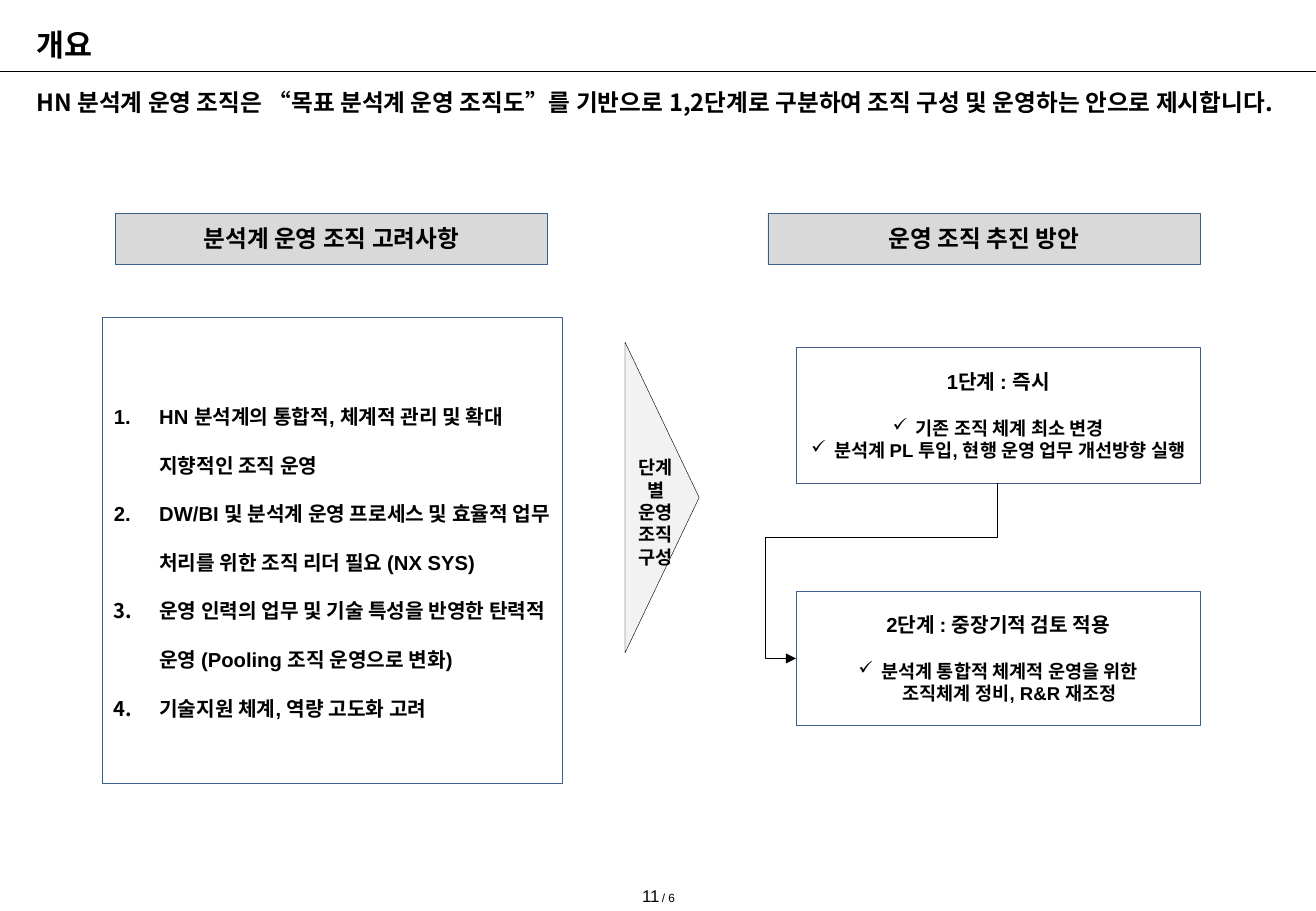
from lxml.etree import SubElement
from pptx import Presentation
from pptx.dml.color import RGBColor
from pptx.enum.shapes import MSO_CONNECTOR, MSO_SHAPE
from pptx.enum.text import MSO_ANCHOR, MSO_AUTO_SIZE, PP_ALIGN
from pptx.oxml.ns import qn
from pptx.util import Cm, Pt

BLACK = RGBColor(0x00, 0x00, 0x00)
BLUE = RGBColor(0x3A, 0x5F, 0x8C)
HEADER_GRAY = RGBColor(0xD9, 0xD9, 0xD9)
ARROW_GRAY = RGBColor(0xF2, 0xF2, 0xF2)
LATIN = "Arial"
KOREAN = "Noto Sans CJK KR"


class SlideBuilder:
    def __init__(self, slide):
        self.slide = slide

    def format_runs(self, paragraph, size, font=LATIN, bold=True):
        for run in paragraph.runs:
            run.font.size = Pt(size)
            run.font.bold = bold
            run.font.name = font
            run.font.color.rgb = BLACK
            SubElement(run.font._element, qn("a:ea"), typeface=KOREAN)

    def fill_text(self, frame, lines, size, align=PP_ALIGN.CENTER, font=LATIN):
        frame.text = "\n".join(lines)
        for paragraph in frame.paragraphs:
            paragraph.alignment = align
            self.format_runs(paragraph, size, font)

    def bullet(self, paragraph, indent, tag, **attributes):
        properties = paragraph._p.get_or_add_pPr()
        properties.set("marL", str(Cm(indent)))
        properties.set("indent", str(-Cm(indent)))
        SubElement(properties, qn(tag), **attributes)

    def placeholder(self, index, box, text, size, anchor, wrap):
        holder = self.slide.placeholders[index]
        holder.left, holder.top, holder.width, holder.height = map(Cm, box)
        frame = holder.text_frame
        frame.margin_left = frame.margin_right = frame.margin_top = frame.margin_bottom = 0
        frame.auto_size = MSO_AUTO_SIZE.NONE
        frame.vertical_anchor = anchor
        frame.word_wrap = wrap
        self.fill_text(frame, [text], size, PP_ALIGN.LEFT, KOREAN)
        paragraph = frame.paragraphs[0]
        paragraph.space_before = Pt(0)
        self.bullet(paragraph, 0, "a:buNone")

    def shape(self, box, fill=None, line=BLUE, kind=MSO_SHAPE.RECTANGLE):
        shape = self.slide.shapes.add_shape(kind, *map(Cm, box))
        shape.shadow.inherit = False
        if fill is None:
            shape.fill.background()
        else:
            shape.fill.solid()
            shape.fill.fore_color.rgb = fill
        shape.line.color.rgb = line
        shape.line.width = Pt(0.25)
        shape.text_frame.word_wrap = True
        shape.text_frame.vertical_anchor = MSO_ANCHOR.MIDDLE
        return shape

    def header(self, left, text):
        header = self.shape((left, 4.45, 9.04, 1.07), HEADER_GRAY)
        self.fill_text(header.text_frame, [text], 14)

    def numbered_list(self, box, items):
        frame = self.shape(box).text_frame
        self.fill_text(frame, items, 12, PP_ALIGN.LEFT)
        for paragraph in frame.paragraphs:
            self.bullet(paragraph, 0.95, "a:buAutoNum", type="arabicPeriod")
            paragraph.line_spacing = 2.0

    def stage(self, top, height, heading, items):
        frame = self.shape((16.64, top, 8.46, height)).text_frame
        self.fill_text(frame, [heading], 12)
        for position, item in enumerate(items):
            paragraph = frame.add_paragraph()
            paragraph.text = item
            paragraph.alignment = PP_ALIGN.CENTER
            self.bullet(paragraph, 0.48, "a:buChar", char="✓")
            paragraph.space_before = Pt(0 if position else 14)
            self.format_runs(paragraph, 11)

    def text_box(self, box, lines, size):
        frame = self.slide.shapes.add_textbox(*map(Cm, box)).text_frame
        frame.word_wrap = True
        self.fill_text(frame, lines, size)
        return frame

    def page_number(self, parts):
        frame = self.text_box((12.9, 18.39, 1.73, 0.79), [], 10)
        paragraph = frame.paragraphs[0]
        for text, size in parts:
            run = paragraph.add_run()
            run.text = text
            run.font.size = Pt(size)
            run.font.name = LATIN
            run.font.color.rgb = BLACK

    def connector(self, kind, start, end):
        connector = self.slide.shapes.add_connector(kind, *map(Cm, start + end))
        connector.line.color.rgb = BLACK
        connector.line.width = Pt(0.75)
        SubElement(connector._element.spPr, qn("a:effectLst"))
        return connector

    def stage_arrow(self, start, end, drop, overshoot):
        across, down = start[0] - end[0], end[1] - start[1]
        center_x, center_y = (start[0] + end[0]) / 2, (start[1] + end[1]) / 2
        arrow = self.connector(
            MSO_CONNECTOR.ELBOW,
            (center_x - down / 2, center_y - across / 2),
            (center_x + down / 2, center_y + across / 2),
        )
        properties = arrow._element.spPr
        properties.find(qn("a:xfrm")).set("rot", "5400000")
        geometry = properties.find(qn("a:prstGeom"))
        geometry.set("prst", "bentConnector4")
        adjustments = geometry.find(qn("a:avLst"))
        for name, ratio in (("adj1", drop), ("adj2", overshoot)):
            SubElement(adjustments, qn("a:gd"), name=name, fmla=f"val {round(ratio * 100000)}")
        SubElement(properties.find(qn("a:ln")), qn("a:tailEnd"), type="triangle")


def main():
    presentation = Presentation()
    presentation.slide_width = Cm(27.51)
    presentation.slide_height = Cm(19.05)
    builder = SlideBuilder(presentation.slides.add_slide(presentation.slide_layouts[1]))

    builder.connector(MSO_CONNECTOR.STRAIGHT, (0, 1.49), (27.51, 1.49))
    builder.page_number([("11", 10), (" ", 5), ("/ 6", 7)])
    builder.placeholder(0, (0.76, 0.33, 13.56, 0.97), "개요", 18, MSO_ANCHOR.BOTTOM, False)
    builder.placeholder(
        1, (0.76, 1.83, 26.01, 1.35),
        "HN 분석계 운영 조직은 “목표 분석계 운영 조직도”를 기반으로 1,2단계로 구분하여 조직 구성 및 운영하는 안으로 제시합니다.",
        14, MSO_ANCHOR.TOP, True,
    )

    builder.header(2.41, "분석계 운영 조직 고려사항")
    builder.header(16.05, "운영 조직 추진 방안")
    builder.numbered_list((2.13, 6.63, 9.63, 9.75), [
        "HN 분석계의 통합적, 체계적 관리 및 확대 지향적인 조직 운영",
        "DW/BI 및 분석계 운영 프로세스 및 효율적 업무 처리를 위한 조직 리더 필요 (NX SYS)",
        "운영 인력의 업무 및 기술 특성을 반영한 탄력적 운영 (Pooling 조직 운영으로 변화)",
        "기술지원 체계, 역량 고도화 고려",
    ])

    direction = builder.shape((10.59, 9.63, 6.5, 1.55), ARROW_GRAY, BLACK, MSO_SHAPE.ISOSCELES_TRIANGLE)
    direction.rotation = 90
    builder.text_box((12.95, 9.42, 1.52, 2.13), ["단계별", "운영", "조직", "구성"], 11)

    builder.stage(7.26, 2.84, "1단계 : 즉시", [
        "기존 조직 체계 최소 변경",
        "분석계 PL 투입, 현행 운영 업무 개선방향 실행",
    ])
    builder.stage(12.37, 2.79, "2단계 : 중장기적 검토 적용", [
        "분석계 통합적 체계적 운영을 위한\v조직체계 정비, R&R 재조정",
    ])
    builder.stage_arrow((20.85, 10.1), (16.64, 13.77), 0.31, 1.15)

    presentation.save("out.pptx")


if __name__ == "__main__":
    main()
